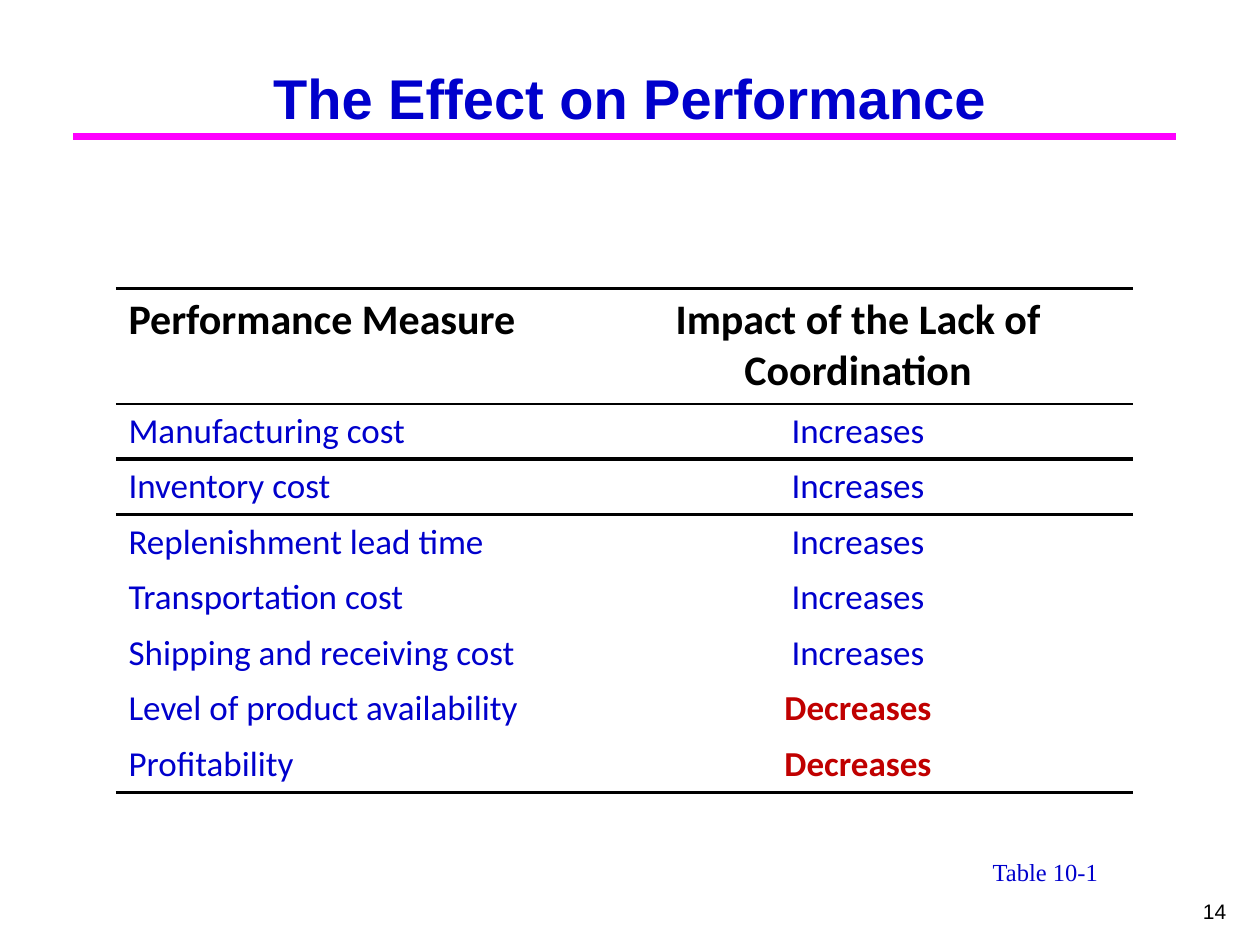
from lxml import etree
from pptx import Presentation, util as u
from pptx.dml.color import RGBColor
from pptx.enum import shapes, text
from pptx.oxml.ns import qn

BLUE = RGBColor(0x00, 0x00, 0xCC)
RED = RGBColor(0xC0, 0x00, 0x00)
PINK = RGBColor(0xFF, 0x00, 0xFF)
BLACK = RGBColor(0x00, 0x00, 0x00)
LEFT, MID, RIGHT = text.PP_ALIGN.LEFT, text.PP_ALIGN.CENTER, text.PP_ALIGN.RIGHT
PLAIN = "{2D5ABB26-0587-4C30-8999-92F81FD0307C}"  # table style without fill or grid

ROWS = [
    ("Performance Measure", "Impact of the Lack of Coordination"),
    ("Manufacturing cost", "Increases"),
    ("Inventory cost", "Increases"),
    ("Replenishment lead time", "Increases"),
    ("Transportation cost", "Increases"),
    ("Shipping and receiving cost", "Increases"),
    ("Level of product availability", "Decreases"),
    ("Profitability", "Decreases"),
]
# Rules of the table: row -> {side: width in points}
RULES = {
    0: {"T": 2.25, "B": 1.5},
    1: {"T": 1.5, "B": 2.25},
    2: {"T": 2.25},
    len(ROWS) - 1: {"B": 2.25},
}


class Deck:
    def __init__(self):
        self.prs = Presentation()
        self.prs.slide_width, self.prs.slide_height = u.Inches(10), u.Inches(7.5)
        self.slide = self.prs.slides.add_slide(self.prs.slide_layouts[5])

    def letter(self, frame, words, size, font, color, bold=False, align=LEFT):
        """Set the words of a text frame and format them."""
        frame.text = words
        par = frame.paragraphs[0]
        par.alignment = align
        for run in par.runs:
            run.font.size, run.font.name, run.font.bold = u.Pt(size), font, bold
            run.font.color.rgb = color

    def title(self, words, box):
        head = self.slide.shapes.title
        head.left, head.top, head.width, head.height = map(u.Inches, box)
        head.text_frame.vertical_anchor = text.MSO_ANCHOR.BOTTOM
        self.letter(head.text_frame, words, 32, "Arial", BLUE, True, MID)

    def line(self, start, end, color, width):
        ends = map(u.Inches, start + end)
        rule = self.slide.shapes.add_connector(shapes.MSO_CONNECTOR.STRAIGHT, *ends)
        rule.line.color.rgb, rule.line.width = color, u.Pt(width)
        etree.SubElement(rule._element.spPr, qn("a:effectLst"))

    def label(self, words, box, size, font, color, align=LEFT, wrap=True):
        frame = self.slide.shapes.add_textbox(*map(u.Inches, box)).text_frame
        frame.word_wrap = wrap
        self.letter(frame, words, size, font, color, align=align)

    def border(self, cell, side, width):
        props = cell._tc.get_or_add_tcPr()
        edge = etree.SubElement(props, qn(f"a:ln{side}"), w=str(u.Pt(width)))
        fill = etree.SubElement(edge, qn("a:solidFill"))
        etree.SubElement(fill, qn("a:srgbClr"), val=str(BLACK))

    def table(self, rows, box, widths):
        frame = self.slide.shapes.add_table(len(rows), len(widths), *map(u.Inches, box))
        grid = frame.table
        grid.horz_banding = False
        grid._tbl.tblPr.find(qn("a:tableStyleId")).text = PLAIN
        for col, width in zip(grid.columns, widths):
            col.width = u.Inches(width)
        for r, row in enumerate(rows):
            grid.rows[r].height = u.Inches(0.41)
            for c, words in enumerate(row):
                cell = grid.cell(r, c)
                for side, width in RULES.get(r, {}).items():
                    self.border(cell, side, width)
                cell.fill.background()
                drop = words == "Decreases"
                color = BLACK if r == 0 else RED if drop else BLUE
                self.letter(cell.text_frame, words, 20 if r else 24, "Calibri",
                            color, r == 0 or drop, MID if c else LEFT)


def main():
    deck = Deck()
    deck.line((0.58, 1.08), (9.33, 1.08), PINK, 4)
    deck.title("The Effect on Performance", (0.75, 0.17, 8.5, 0.92))
    deck.table(ROWS, (0.92, 2.29, 8.07, 3.28), (3.71, 4.36))
    deck.label("Table 10-1", (7.78, 6.75, 1.12, 0.34), 14, "Times New Roman", BLUE,
               wrap=False)
    deck.label("14", (7.75, 7.08, 2.08, 0.42), 12, "Arial", BLACK, RIGHT)
    deck.prs.save("out.pptx")


if __name__ == "__main__":
    main()
